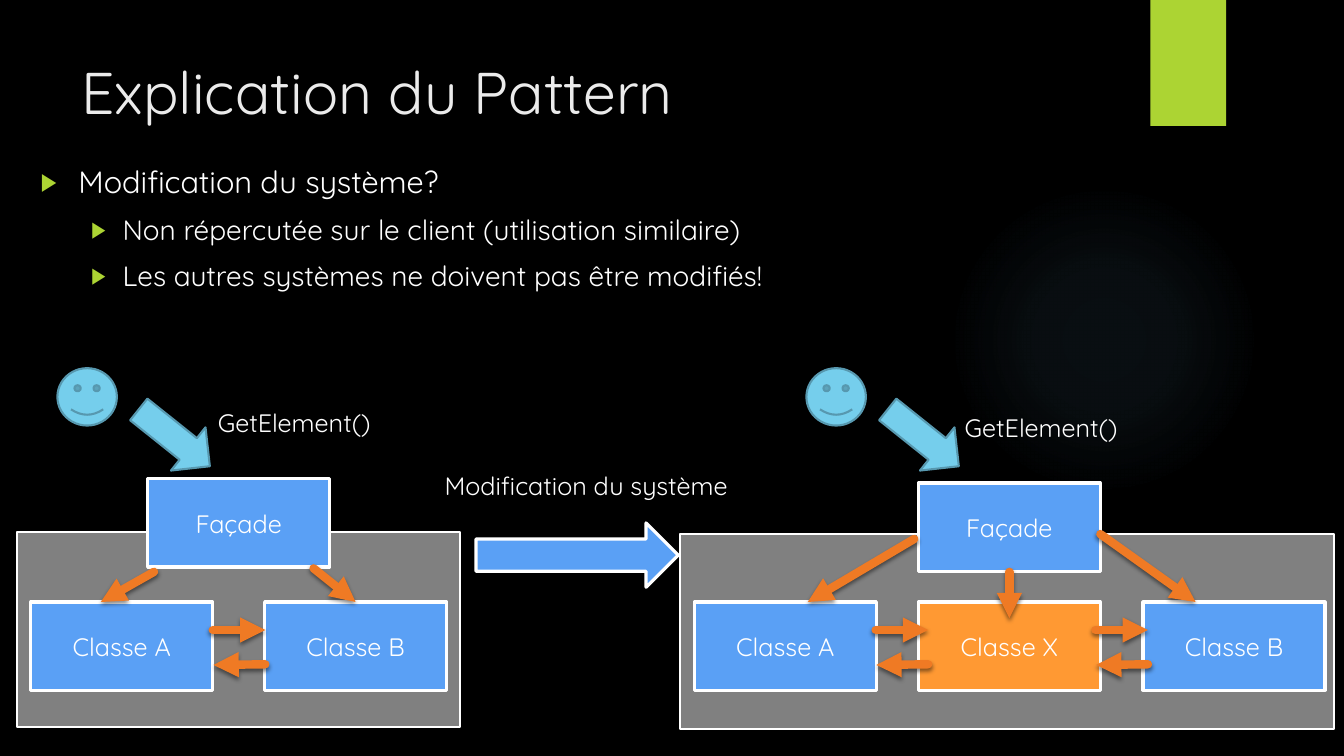
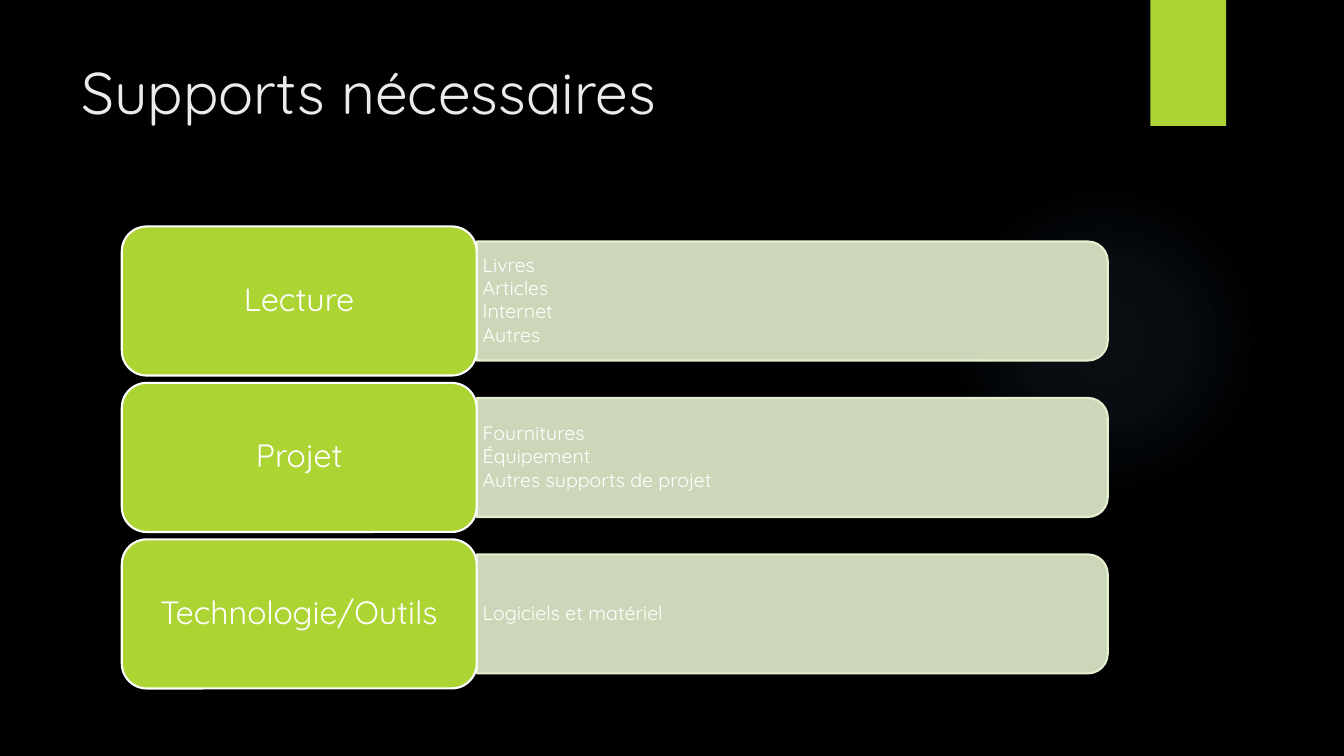
from lxml.etree import SubElement
from pptx import Presentation
from pptx.dml.color import RGBColor
from pptx.enum.shapes import MSO_CONNECTOR, MSO_SHAPE
from pptx.enum.text import MSO_ANCHOR, MSO_AUTO_SIZE, PP_ALIGN
from pptx.oxml import parse_xml
from pptx.oxml.ns import nsdecls, qn
from pptx.util import Pt

COLORS = {
    "background": "000000", "title": "EBEBEB", "text": "FFFFFF",
    "green": "ACD433", "pale": "E3EFCE", "blue": "5AA0F5",
    "orange": "FF9933", "arrow": "EF7A24", "client": "75CEEC",
    "client_line": "5798AF", "glow": "7AC4F0",
}
FONT = "Quicksand"
CLASS_WIDTH, CLASS_HEIGHT, CLASS_TOP = 130, 63, 430


def color(name):
    return RGBColor.from_string(COLORS[name])


class Deck:
    """Holds the style and the current slide; all lengths are in points."""

    def __init__(self):
        self.presentation = Presentation()
        self.presentation.slide_width = Pt(960)
        self.presentation.slide_height = Pt(540)
        fill = self.presentation.slide_master.background.fill
        fill.solid()
        fill.fore_color.rgb = color("background")
        self.slide = None

    def add_slide(self, title):
        layout = self.presentation.slide_layouts[5]
        self.slide = self.presentation.slides.add_slide(layout)
        self.glow(677.5, 131.75, 221.75)
        tab = self.shape(MSO_SHAPE.RECTANGLE, 821.75, 0, 54, 90, "green")
        self.soft_shadow(tab._element.spPr.find(qn("a:effectLst")))
        shape = self.slide.shapes.title
        shape.left, shape.top, shape.width, shape.height = map(Pt, (51, 36, 741, 110))
        self.set_text(shape, [title], 42, "title", PP_ALIGN.LEFT, MSO_ANCHOR.TOP)

    def set_text(self, shape, lines, size, ink="text", align=PP_ALIGN.CENTER,
                 anchor=MSO_ANCHOR.MIDDLE):
        frame = shape.text_frame
        frame.word_wrap = True
        frame.auto_size = MSO_AUTO_SIZE.NONE
        frame.vertical_anchor = anchor
        frame.text = "\n".join(lines)
        for paragraph in frame.paragraphs:
            paragraph.alignment = align
            paragraph.font.name = FONT
            paragraph.font.size = Pt(size)
            paragraph.font.color.rgb = color(ink)
        return frame

    def shape(self, kind, left, top, width, height, fill, line=None,
              line_width=1.5, opacity=100, rotation=0):
        shape = self.slide.shapes.add_shape(kind, *map(Pt, (left, top, width, height)))
        shape.rotation = rotation
        shape.shadow.inherit = False
        shape.fill.solid()
        shape.fill.fore_color.rgb = color(fill)
        if opacity < 100:
            tint = shape._element.spPr.find(qn("a:solidFill"))[0]
            SubElement(tint, qn("a:alpha"), val=str(opacity * 1000))
        if line:
            shape.line.color.rgb = color(line)
            shape.line.width = Pt(line_width)
        else:
            shape.line.fill.background()
        return shape

    def glow(self, left, top, size):
        shape = self.slide.shapes.add_shape(
            MSO_SHAPE.OVAL, *map(Pt, (left, top, size, size)))
        shape.shadow.inherit = False
        shape.line.fill.background()
        stops = "".join(
            f'<a:gs pos="{position}000"><a:srgbClr val="{COLORS["glow"]}">'
            f'<a:alpha val="{opacity}000"/></a:srgbClr></a:gs>'
            for position, opacity in ((0, 7), (36, 6), (69, 0)))
        gradient = parse_xml(
            f'<a:gradFill {nsdecls("a")}><a:gsLst>{stops}</a:gsLst><a:path path="circle">'
            '<a:fillToRect l="50000" t="50000" r="50000" b="50000"/>'
            '</a:path></a:gradFill>')
        shape._element.spPr.find(qn("a:prstGeom")).addnext(gradient)

    def soft_shadow(self, effects):
        shadow = SubElement(effects, qn("a:outerShdw"), blurRad=str(Pt(3)),
                            dist=str(Pt(2)), dir="5400000", rotWithShape="0")
        tint = SubElement(shadow, qn("a:srgbClr"), val="000000")
        SubElement(tint, qn("a:alpha"), val="45000")

    def arrow(self, *ends):
        connector = self.slide.shapes.add_connector(
            MSO_CONNECTOR.STRAIGHT, *map(Pt, ends))
        connector.line.color.rgb = color("arrow")
        connector.line.width = Pt(6)
        properties = connector._element.spPr
        line = properties.find(qn("a:ln"))
        line.set("cap", "rnd")
        SubElement(line, qn("a:tailEnd"), type="triangle")
        self.soft_shadow(SubElement(properties, qn("a:effectLst")))

    def text(self, left, top, width, height, lines, size, anchor=MSO_ANCHOR.TOP):
        box = self.slide.shapes.add_textbox(*map(Pt, (left, top, width, height)))
        return self.set_text(box, lines, size, align=PP_ALIGN.LEFT, anchor=anchor)

    def bullets(self, left, top, width, height, items):
        frame = self.text(left, top, width, height, [line for _, line in items], 20)
        for paragraph, (level, _) in zip(frame.paragraphs, items):
            paragraph.level = level
            paragraph.font.size = Pt((22, 20)[level])
            paragraph.space_before = Pt(9)
            margin, hanging = ((27, 27), (58.5, 22.5))[level]
            properties = paragraph._p.get_or_add_pPr()
            properties.set("marL", str(Pt(margin)))
            properties.set("indent", str(-Pt(hanging)))
            # Bullet elements precede the default run properties
            for xml in (f'<a:buClr {nsdecls("a")}><a:srgbClr val="{COLORS["green"]}"/></a:buClr>',
                        f'<a:buSzPct {nsdecls("a")} val="80000"/>',
                        f'<a:buFont {nsdecls("a")} typeface="Arial"/>',
                        f'<a:buChar {nsdecls("a")} char="▶"/>'):
                properties.find(qn("a:defRPr")).addprevious(parse_xml(xml))

    def class_box(self, left, top, label, fill="blue"):
        box = self.shape(MSO_SHAPE.RECTANGLE, left, top, CLASS_WIDTH, CLASS_HEIGHT,
                         fill, "text", 2.25)
        self.set_text(box, [label], 18)

    def system(self, left, top, width, facade, classes):
        self.shape(MSO_SHAPE.RECTANGLE, left, top, width, 139, "text", "text", opacity=50)
        self.class_box(*facade, "Façade")
        for class_left, label, fill in classes:
            self.class_box(class_left, CLASS_TOP, label, fill)

    def exchange(self, left):
        right = left + 37.5
        self.arrow(left, 450, right, 450)
        self.arrow(right, 474.5, left + 0.5, 475)

    def client(self, left, label_left, label_top):
        self.shape(MSO_SHAPE.SMILEY_FACE, left, 263, 42.5, 41, "client", "client_line")
        self.shape(MSO_SHAPE.RIGHT_ARROW, left + 51, 293, 65, 39.5, "client",
                   "client_line", rotation=38.6)
        self.text(label_left, label_top, 158, 29, ["GetElement()"], 18)

    def support(self, top, label, lines):
        card_left, card_width, card_height = 87, 253.5, 106.5
        panel_width, panel_height = 450.75, 85
        panel_left = card_left + card_width
        middle = top + card_height / 2
        # The upright shape is turned so its rounded end faces right
        self.shape(MSO_SHAPE.ROUND_2_SAME_RECTANGLE,
                   panel_left + (panel_width - panel_height) / 2,
                   middle - panel_width / 2, panel_height, panel_width,
                   "pale", "pale", opacity=90, rotation=90)
        frame = self.text(panel_left, middle - 38.5, 446, 77, lines, 14, MSO_ANCHOR.MIDDLE)
        frame.margin_left = frame.margin_right = Pt(4.3)
        frame.margin_top = frame.margin_bottom = Pt(2.2)
        for paragraph in frame.paragraphs:
            paragraph.line_spacing = 0.9
            paragraph.space_after = Pt(1.5)
        card = self.shape(MSO_SHAPE.ROUNDED_RECTANGLE, card_left, top, card_width,
                          card_height, "green", "text")
        self.set_text(card, [label], 23).paragraphs[0].line_spacing = 0.9


def main():
    deck = Deck()

    # Façade before and after the change
    deck.add_slide("Explication du Pattern")
    deck.bullets(22, 113, 704, 330, [
        (0, "Modification du système?"),
        (1, "Non répercutée sur le client (utilisation similaire)"),
        (1, "Les autres systèmes ne doivent pas être modifiés!"),
    ])
    deck.system(12, 380, 316.5, (105.5, 342),
                [(22, "Classe A", "blue"), (189, "Classe B", "blue")])
    deck.system(486, 381.5, 467, (656, 345),
                [(496, "Classe A", "blue"), (656, "Classe X", "orange"),
                 (816.5, "Classe B", "blue")])
    deck.client(41, 148.5, 287.5)
    deck.client(576, 682, 291)

    # Calls from each façade and between classes
    for ends in ((110, 408.5, 72, 430), (224, 406, 254, 430),
                 (653, 385, 577, 430), (721, 408.5, 721, 441.5),
                 (786, 381.5, 854, 430)):
        deck.arrow(*ends)
    for left in (152, 625.5, 782.5):
        deck.exchange(left)

    # Transition between the two systems
    deck.shape(MSO_SHAPE.RIGHT_ARROW, 340, 373.5, 144.5, 46, "blue", "text", 2.25)
    deck.text(310.5, 332.5, 250, 29, ["Modification du système"], 18)

    # Required materials
    deck.add_slide("Supports nécessaires")
    supports = [
        ("Lecture", ["Livres", "Articles", "Internet", "Autres"]),
        ("Projet", ["Fournitures", "Équipement", "Autres supports de projet"]),
        ("Technologie/Outils", ["Logiciels et matériel"]),
    ]
    for row, (label, lines) in enumerate(supports):
        deck.support(161.75 + row * 111.75, label, lines)

    deck.presentation.save("out.pptx")


if __name__ == "__main__":
    main()
